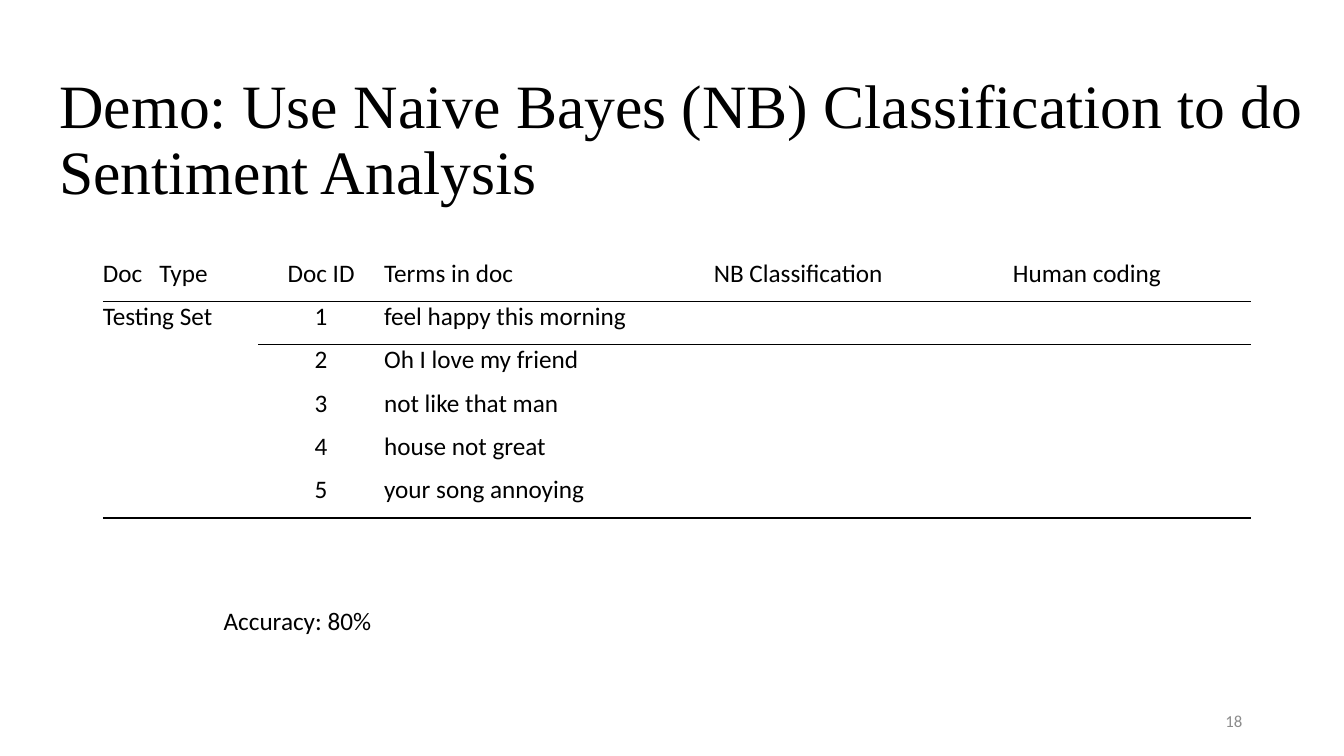
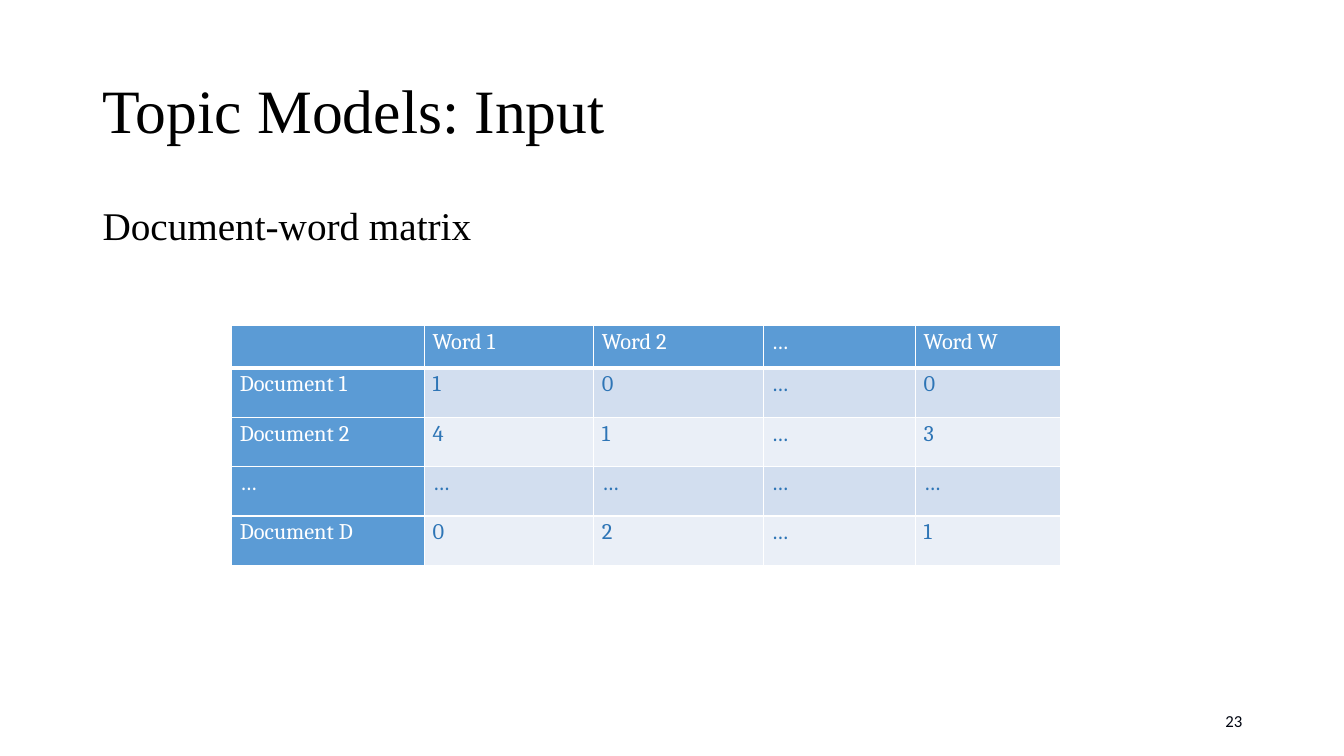
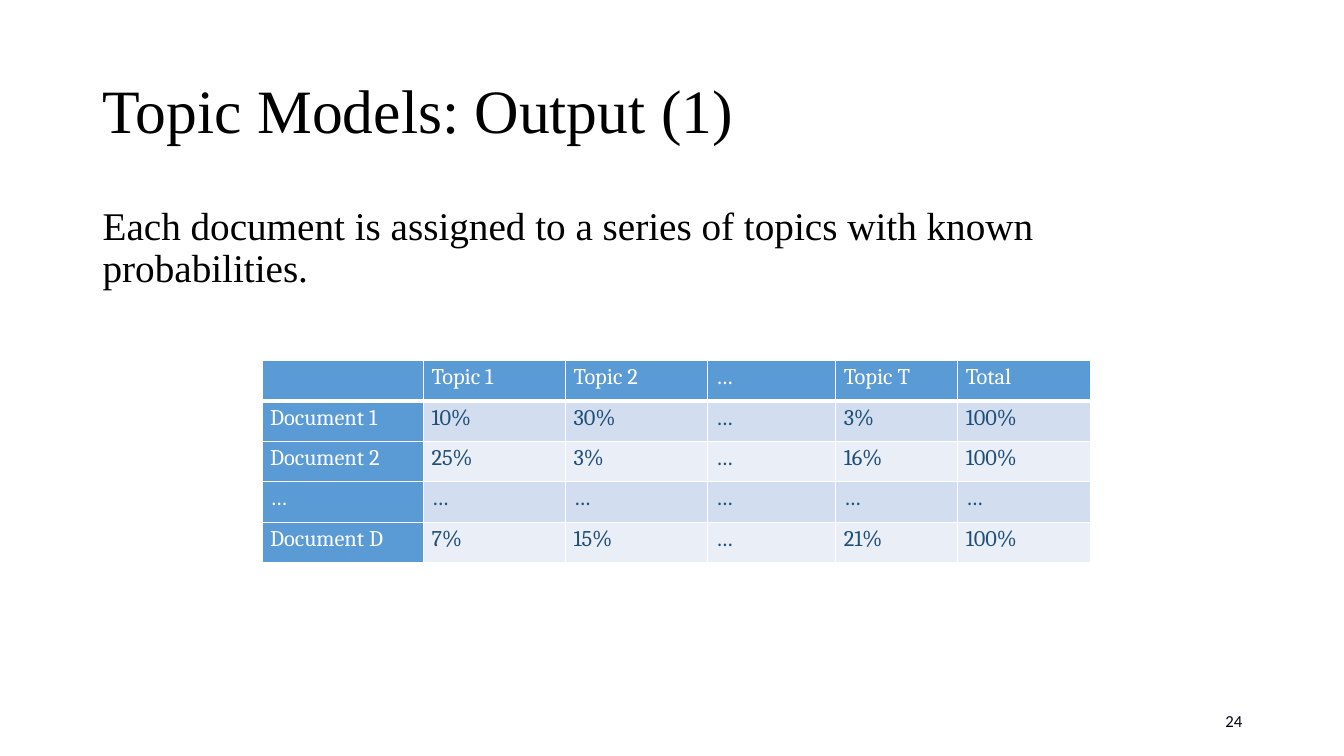
from pptx import Presentation
from pptx.dml.color import RGBColor
from pptx.enum.text import MSO_ANCHOR as Anchor, PP_ALIGN as Align
from pptx.oxml import parse_xml
from pptx.oxml.ns import nsdecls, qn
from pptx.util import Inches, Pt

BLACK, WHITE, GREY, NAVY = "000000", "FFFFFF", "8C8C8C", "000510"
HEAD_BLUE, BANDS = "5B9BD5", ("D2DEEF", "EAEFF7")
TITLE_FONT, PLAIN_FONT, MATRIX_FONT = "Times New Roman", "Calibri", "Cambria"
NO_STYLE = "{2D5ABB26-0587-4C30-8999-92F81FD0307C}"
TITLE_AREA = (0.92, 0.4, 11.5, 1.45)


def write(frame, text, font, size, colour=BLACK, align=Align.LEFT, spacing=1.0):
    """Put one paragraph in a text frame and return it."""
    para = frame.paragraphs[0]
    para.text = text
    para.alignment = align
    para.line_spacing = spacing
    para.font.name = font
    para.font.size = Pt(size)
    para.font.color.rgb = RGBColor.from_string(colour)
    return para


def set_borders(cell, colour, **widths):
    """Draw cell borders; widths maps L, R, T and B to points."""
    properties = cell._tc.get_or_add_tcPr()
    lines = [
        parse_xml(
            f'<a:ln{side} {nsdecls("a")} w="{Pt(widths[side])}"><a:solidFill>'
            f'<a:srgbClr val="{colour}"/></a:solidFill></a:ln{side}>'
        )
        for side in "LRTB" if side in widths
    ]
    for place, line in enumerate(lines):
        properties.insert(place, line)


demo = {
    "title": "Demo: Use Naive Bayes (NB) Classification to do Sentiment Analysis",
    "title_area": (0.49, 0.68, 12.84, 1.45),
    "number": "18", "number_colour": GREY,
    "place": (1.02, 2.56),
    "columns": (1.54, 1.25, 3.27, 2.91, 2.42),
    "rows": (0.43,) * 7,
    "cells": [
        ("Doc   Type", "Doc ID", "Terms in doc", "NB Classification", " Human coding"),
        ("Testing Set", "1", "feel happy this morning", "", ""),
        ("", "2", "Oh I love my friend", "", ""),
        ("", "3", "not like that man", "", ""),
        ("", "4", "house not great", "", ""),
        ("", "5", "your song annoying", "", ""),
        ("",) * 5,
    ],
}
topic_input = {
    "title": "Topic Models: Input", "title_area": TITLE_AREA,
    "body": "Document-word matrix",
    "number": "23", "number_colour": NAVY,
    "place": (2.3, 3.23),
    "columns": (1.91, 1.68, 1.68, 1.51, 1.44),
    "rows": (0.42,) + (0.49,) * 4,
    "value_colour": "2E75B6",
    "cells": [
        ("", "Word 1", "Word 2", "…", "Word W"),
        ("Document 1", "1", "0", "…", "0"),
        ("Document 2", "4", "1", "…", "3"),
        ("…",) * 5,
        ("Document D", "0", "2", "…", "1"),
    ],
}
topic_output = {
    "title": "Topic Models: Output (1)", "title_area": TITLE_AREA,
    "body": "Each document is assigned to a series of topics with known probabilities.",
    "number": "24", "number_colour": NAVY,
    "place": (2.6, 3.58),
    "columns": (1.6, 1.41, 1.41, 1.27, 1.21, 1.32),
    "rows": (0.4,) * 5,
    "value_colour": "1F4E79",
    "cells": [
        ("", "Topic 1", "Topic 2", "…", "Topic T", "Total"),
        ("Document 1", "10%", "30%", "…", "3%", "100%"),
        ("Document 2", "25%", "3%", "…", "16%", "100%"),
        ("…",) * 6,
        ("Document D", "7%", "15%", "…", "21%", "100%"),
    ],
}

deck = Presentation()
deck.slide_width, deck.slide_height = Inches(13.33), Inches(7.5)

for content in (demo, topic_input, topic_output):
    page = deck.slides.add_slide(deck.slide_layouts[6])
    is_matrix = "body" in content

    title = page.shapes.add_textbox(*map(Inches, content["title_area"])).text_frame
    title.word_wrap = True
    title.vertical_anchor = Anchor.MIDDLE
    write(title, content["title"], TITLE_FONT, 44, spacing=0.9)

    if is_matrix:
        body = page.shapes.add_textbox(*map(Inches, (0.92, 2, 11.5, 4.76))).text_frame
        body.word_wrap = True
        write(body, content["body"], TITLE_FONT, 28, spacing=0.9).space_before = Pt(10)
    else:
        accuracy = page.shapes.add_textbox(*map(Inches, (2.12, 5.96, 5.17, 0.4))).text_frame
        accuracy.word_wrap = True
        write(accuracy, "Accuracy: 80%", PLAIN_FONT, 18)

    number = page.shapes.add_textbox(*map(Inches, (9.42, 6.95, 3, 0.4))).text_frame
    number.word_wrap = True
    number.vertical_anchor = Anchor.MIDDLE
    write(number, content["number"], PLAIN_FONT, 12, content["number_colour"], Align.RIGHT)

    columns, rows = content["columns"], content["rows"]
    area = (*content["place"], sum(columns), sum(rows))
    table = page.shapes.add_table(len(rows), len(columns), *map(Inches, area)).table
    table.first_row = table.horz_banding = False
    table._tbl.tblPr.find(qn("a:tableStyleId")).text = NO_STYLE
    for column, width in zip(table.columns, columns):
        column.width = Inches(width)
    for row, height in zip(table.rows, rows):
        row.height = Inches(height)

    for r, texts in enumerate(content["cells"]):
        for c, text in enumerate(texts):
            cell = table.cell(r, c)
            cell.margin_top = cell.margin_bottom = 0
            cell.margin_left = cell.margin_right = Inches(0.08 if is_matrix else 0)
            if is_matrix:
                is_head = r == 0 or c == 0
                fill = HEAD_BLUE if is_head else BANDS[(r - 1) % 2]
                colour = WHITE if is_head else content["value_colour"]
                write(cell.text_frame, text, MATRIX_FONT, 16, colour, spacing=1.15)
                cell.fill.solid()
                cell.fill.fore_color.rgb = RGBColor.from_string(fill)
                set_borders(cell, WHITE, L=1, R=1, T=1, B=3 if r == 0 else 1)
            else:
                align = Align.CENTER if c == 1 else Align.LEFT
                write(cell.text_frame, text, PLAIN_FONT, 18, align=align)
                cell.fill.background()
                if r in (0, 5) or (r, c) == (1, 0):
                    set_borders(cell, BLACK, B=1)
                if r in (1, 6):
                    set_borders(cell, BLACK, T=1)

    if not is_matrix:
        table.cell(1, 0).merge(table.cell(5, 0))
        table.cell(6, 0).merge(table.cell(6, 3))

deck.save("out.pptx")
